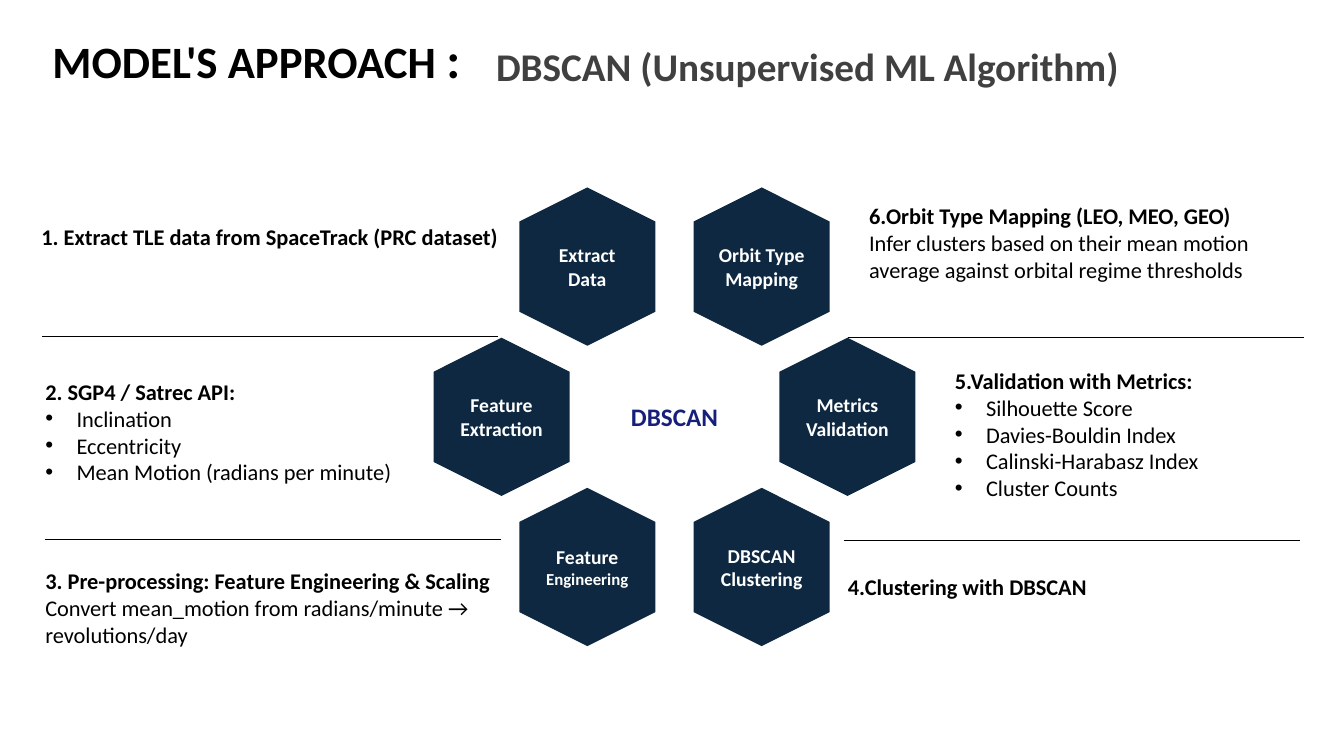
from lxml.etree import SubElement
from pptx import Presentation
from pptx.dml.color import RGBColor
from pptx.enum.shapes import MSO_CONNECTOR, MSO_SHAPE
from pptx.enum.text import MSO_ANCHOR, PP_ALIGN
from pptx.oxml.ns import qn
from pptx.util import Emu, Pt

PX = 9144  # 100 px to the inch
FONT = "Calibri"
NAVY = RGBColor(0x0E, 0x28, 0x41)
INDIGO = RGBColor(0x16, 0x20, 0x7B)
GRAY = RGBColor(0x40, 0x40, 0x40)
BLACK = RGBColor(0, 0, 0)
WHITE = RGBColor(0xFF, 0xFF, 0xFF)

HEX_LENGTH, HEX_WIDTH = 157, 135
HEX_TOP, HEX_STEP = 197, 149
BULLET_INDENT = 31


def px(n):
    return Emu(n * PX)


def write(tf, text, size=16, color=BLACK, bold=False, align=PP_ALIGN.LEFT, bullet=False):
    """Add one paragraph, filling the empty first one if there is one."""
    p = tf.paragraphs[0] if not tf.text else tf.add_paragraph()
    if bullet:
        pPr = p._p.get_or_add_pPr()
        pPr.set("marL", str(px(BULLET_INDENT)))
        pPr.set("indent", str(-px(BULLET_INDENT)))
        SubElement(pPr, qn("a:buFont"), typeface="Arial")
        SubElement(pPr, qn("a:buChar"), char="•")
    p.alignment = align
    r = p.add_run()
    r.text = text
    r.font.name = FONT
    r.font.size = Pt(size)
    r.font.bold = bold
    r.font.color.rgb = color
    return p


def set_frame(tf, anchor):
    tf.word_wrap = True
    tf.vertical_anchor = anchor
    tf.margin_left = tf.margin_right = tf.margin_top = tf.margin_bottom = 0


def add_box(s, x, y, w, h, anchor=MSO_ANCHOR.TOP):
    tf = s.shapes.add_textbox(px(x), px(y), px(w), px(h)).text_frame
    set_frame(tf, anchor)
    return tf


def add_title(s):
    tf = add_box(s, 52, 34, 430, 55, MSO_ANCHOR.MIDDLE)
    p = write(tf, "MODEL'S APPROACH ", size=32, bold=True)
    p.line_spacing = 0.9
    colon = p.add_run()
    colon.text = ":"
    colon.font.name = FONT
    colon.font.size = Pt(36)
    colon.font.bold = True
    colon.font.color.rgb = BLACK
    tf = add_box(s, 492, 42, 761, 47)
    write(tf, "DBSCAN (Unsupervised ML Algorithm)", size=28, color=GRAY, bold=True)


def add_hexagon(s, x, row, lines):
    """Draw a pointy-top hexagon with upright text; lines holds (text, size) pairs."""
    sp = s.shapes.add_shape(MSO_SHAPE.HEXAGON, px(x), px(HEX_TOP + row * HEX_STEP),
                            px(HEX_LENGTH), px(HEX_WIDTH))
    sp.rotation = 270
    sp.shadow.inherit = False
    sp.fill.solid()
    sp.fill.fore_color.rgb = NAVY
    sp.line.fill.background()
    tf = sp.text_frame
    set_frame(tf, MSO_ANCHOR.MIDDLE)
    tf._txBody.bodyPr.set("vert", "vert")
    for text, size in lines:
        write(tf, text, size=size, color=WHITE, bold=True, align=PP_ALIGN.CENTER)


def add_note(s, x, y, w, h, heading, body=(), bullet=False):
    tf = add_box(s, x, y, w, h)
    write(tf, heading, bold=True)
    for text in body:
        write(tf, text, bullet=bullet)


def add_divider(s, x, y):
    line = s.shapes.add_connector(MSO_CONNECTOR.STRAIGHT, px(x), px(y), px(x + 452), px(y))
    line.line.color.rgb = BLACK
    line.line.width = Pt(1)
    SubElement(line._element.spPr, qn("a:effectLst"))


def main():
    prs = Presentation()
    prs.slide_width, prs.slide_height = px(1333), px(750)
    s = prs.slides.add_slide(prs.slide_layouts[6])
    add_title(s)

    for x, row, lines in (
        (504, 0, [("Extract Data", 14)]),
        (677, 0, [("Orbit Type Mapping", 14)]),
        (762, 1, [("Metrics Validation", 14)]),
        (419, 1, [("Feature Extraction", 14)]),
        (504, 2, [("Feature", 14), ("Engineering", 12)]),
        (677, 2, [("DBSCAN Clustering", 14)]),
    ):
        add_hexagon(s, x, row, lines)
    hub = add_box(s, 572, 398, 194, 30, MSO_ANCHOR.MIDDLE)
    write(hub, "DBSCAN", size=18, color=INDIGO, bold=True, align=PP_ALIGN.CENTER)

    add_note(s, 41, 221, 472, 27, "1. Extract TLE data from SpaceTrack (PRC dataset)")
    add_note(s, 45, 375, 456, 108, "2. SGP4 / Satrec API:",
             ["Inclination", "Eccentricity", "Mean Motion (radians per minute)"], bullet=True)
    add_note(s, 45, 563, 456, 81, "3. Pre-processing: Feature Engineering & Scaling",
             ["Convert mean_motion from radians/minute → revolutions/day"])
    add_note(s, 841, 569, 456, 27, "4.Clustering with DBSCAN")
    add_note(s, 947, 364, 380, 138, "5.Validation with Metrics:",
             ["Silhouette Score", "Davies-Bouldin Index", "Calinski-Harabasz Index",
              "Cluster Counts"], bullet=True)
    add_note(s, 862, 201, 377, 81, "6.Orbit Type Mapping (LEO, MEO, GEO)",
             ["Infer clusters based on their mean motion average against orbital regime thresholds"])

    for x, y in ((841, 335), (837, 536), (42, 334), (45, 535)):
        add_divider(s, x, y)
    prs.save("out.pptx")


if __name__ == "__main__":
    main()
